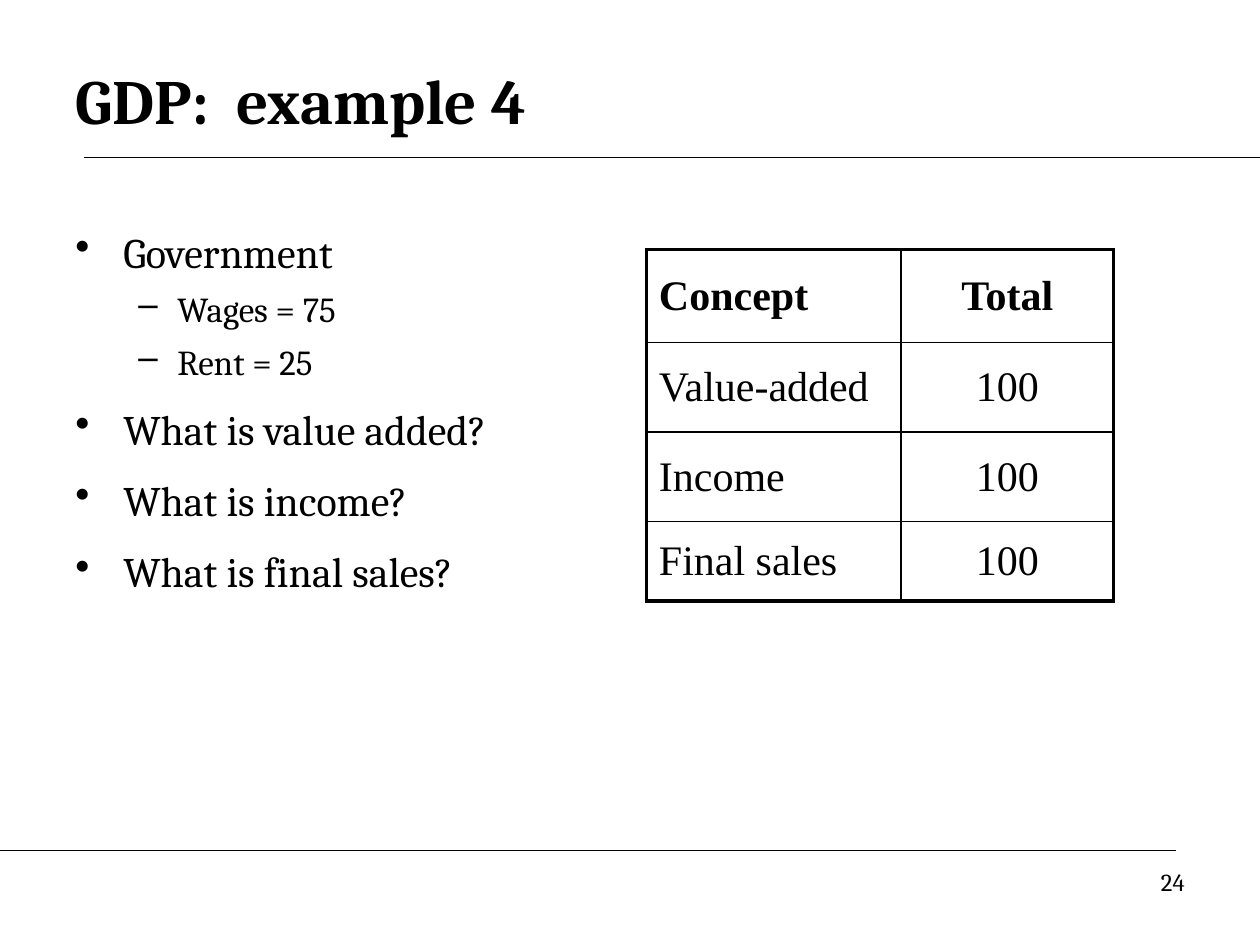
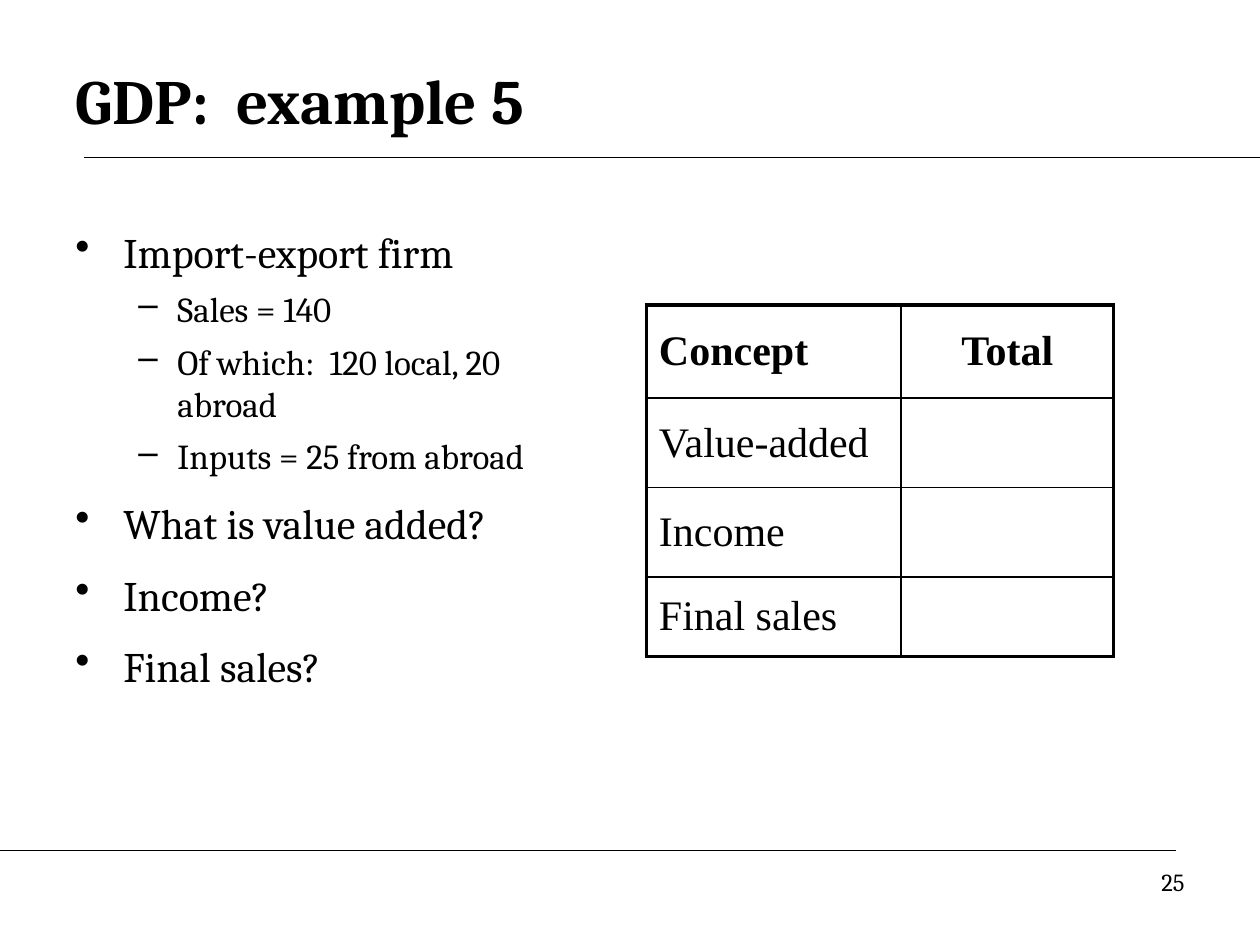
from dataclasses import dataclass
from typing import Any

from lxml import etree
from pptx import Presentation
from pptx.dml.color import RGBColor
from pptx.enum.shapes import MSO_CONNECTOR
from pptx.enum.text import MSO_ANCHOR, PP_ALIGN
from pptx.oxml.ns import qn
from pptx.util import Inches, Pt

LEFT, CENTER, RIGHT = PP_ALIGN.LEFT, PP_ALIGN.CENTER, PP_ALIGN.RIGHT
TOP, MIDDLE = MSO_ANCHOR.TOP, MSO_ANCHOR.MIDDLE
STRAIGHT = MSO_CONNECTOR.STRAIGHT

COLORS = {"ink": "000000", "paper": "FFFFFF"}
SERIF, TABLE_SERIF = "Cambria", "Times New Roman"

TITLE_FONT = {"name": SERIF, "size": Pt(36), "bold": True}
NUMBER_FONT = {"name": SERIF, "size": Pt(14)}
HEADER_FONT = {"name": TABLE_SERIF, "size": Pt(24), "bold": True}
CELL_FONT = {**HEADER_FONT, "bold": False}

RULES = [(0.67, 10, 1.25), (0, 9.33, 6.75)]
TITLE_BOX = (0.5, 0.33, 9, 0.92)
NUMBER_BOX = (7.17, 6.83, 2.33, 0.52)
TABLE_LEFT = 5.13
COLUMN_WIDTHS = [2.02, 1.69]
ROW_HEIGHTS = [0.74, 0.71, 0.71, 0.63]
CONCEPTS = ["Value-added", "Income", "Final sales"]
OUTER_BORDER, INNER_BORDER = Pt(2.25), Pt(1)


@dataclass(frozen=True)
class BulletLevel:
    character: str
    margin: float
    hanging: float
    space_before: int
    size: int


@dataclass(frozen=True)
class ExampleSlide:
    title: str
    number: int
    body_box: tuple[float, float, float, float]
    bullets: list[tuple[int, str]]
    table_top: float
    totals: list[str]


LEVELS = [
    BulletLevel("•", 0.38, 0.38, 12, 24),
    BulletLevel("–", 0.81, 0.31, 6, 20),
]

EXAMPLES = [
    ExampleSlide(
        "GDP:  example 4", 24, (0.5, 1.75, 4.25, 4.42),
        [
            (0, "Government"),
            (1, "Wages = 75"),
            (1, "Rent = 25"),
            (0, "What is value added?"),
            (0, "What is income?"),
            (0, "What is final sales?"),
        ],
        1.98, ["100", "100", "100"],
    ),
    ExampleSlide(
        "GDP:  example 5", 25, (0.5, 1.75, 4.08, 4.95),
        [
            (0, "Import-export firm"),
            (1, "Sales = 140"),
            (1, "Of which:  120 local, 20 abroad"),
            (1, "Inputs = 25 from abroad"),
            (0, "What is value added?"),
            (0, "Income?"),
            (0, "Final sales?"),
        ],
        2.42, ["", "", ""],
    ),
]


def color(name: str) -> RGBColor:
    return RGBColor.from_string(COLORS[name])


def set_attributes(target: Any, values: dict[str, Any]) -> None:
    for name, value in values.items():
        setattr(target, name, value)


def write(paragraph: Any, text: str, font: dict[str, Any], alignment: Any = LEFT) -> None:
    paragraph.alignment = alignment
    if text:
        run = paragraph.add_run()
        run.text = text
        set_attributes(run.font, font)
        run.font.color.rgb = color("ink")


def add_text_frame(slide: Any, box: tuple[float, ...], anchor: Any = TOP) -> Any:
    frame = slide.shapes.add_textbox(*map(Inches, box)).text_frame
    set_attributes(frame, {"word_wrap": True, "vertical_anchor": anchor})
    return frame


def add_rule(slide: Any, start: float, end: float, height: float) -> None:
    """Draw a thin horizontal line across the slide."""
    rule = slide.shapes.add_connector(
        STRAIGHT, Inches(start), Inches(height), Inches(end), Inches(height)
    )
    rule.line.color.rgb = color("ink")
    rule.line.width = Pt(0.75)
    etree.SubElement(rule._element.spPr, qn("a:effectLst"))


def add_frame(slide: Any, example: ExampleSlide) -> None:
    """Add the background, rules, title and slide number."""
    slide.background.fill.solid()
    slide.background.fill.fore_color.rgb = color("paper")
    for rule in RULES:
        add_rule(slide, *rule)
    title = add_text_frame(slide, TITLE_BOX, MIDDLE)
    write(title.paragraphs[0], example.title, TITLE_FONT)
    number = add_text_frame(slide, NUMBER_BOX)
    write(number.paragraphs[0], str(example.number), NUMBER_FONT, RIGHT)


def add_bullets(slide: Any, example: ExampleSlide) -> None:
    frame = add_text_frame(slide, example.body_box)
    for index, (depth, text) in enumerate(example.bullets):
        level = LEVELS[depth]
        paragraph = frame.add_paragraph() if index else frame.paragraphs[0]
        properties = paragraph._p.get_or_add_pPr()
        properties.set("marL", str(Inches(level.margin)))
        properties.set("indent", str(-Inches(level.hanging)))
        etree.SubElement(properties, qn("a:buChar"), char=level.character)
        paragraph.level = depth
        if index:
            paragraph.space_before = Pt(level.space_before)
        write(paragraph, text, {"name": SERIF, "size": Pt(level.size)})


def set_borders(cell: Any, outer_sides: dict[str, bool]) -> None:
    """Draw thick borders on the outer sides and thin ones elsewhere."""
    properties = cell._tc.get_or_add_tcPr()
    for position, (side, is_outer) in enumerate(outer_sides.items()):
        width = OUTER_BORDER if is_outer else INNER_BORDER
        border = etree.Element(qn(f"a:ln{side}"), w=str(width))
        fill = etree.SubElement(border, qn("a:solidFill"))
        etree.SubElement(fill, qn("a:srgbClr"), val=COLORS["ink"])
        properties.insert(position, border)


def add_totals_table(slide: Any, example: ExampleSlide) -> None:
    rows = [("Concept", "Total"), *zip(CONCEPTS, example.totals)]
    last_row, last_column = len(rows) - 1, len(COLUMN_WIDTHS) - 1
    table = slide.shapes.add_table(
        len(rows), len(COLUMN_WIDTHS), Inches(TABLE_LEFT), Inches(example.table_top),
        Inches(sum(COLUMN_WIDTHS)), Inches(sum(ROW_HEIGHTS)),
    ).table
    set_attributes(table, {"first_row": False, "horz_banding": False})
    for column, width in zip(table.columns, COLUMN_WIDTHS):
        column.width = Inches(width)
    for row, height in zip(table.rows, ROW_HEIGHTS):
        row.height = Inches(height)
    for row_index, texts in enumerate(rows):
        font = CELL_FONT if row_index else HEADER_FONT
        for column_index, text in enumerate(texts):
            cell = table.cell(row_index, column_index)
            cell.fill.background()
            cell.vertical_anchor = MIDDLE
            alignment = CENTER if column_index else LEFT
            write(cell.text_frame.paragraphs[0], text, font, alignment)
            set_borders(cell, {
                "L": column_index == 0,
                "R": column_index == last_column,
                "T": row_index == 0,
                "B": row_index == last_row,
            })


def main() -> None:
    presentation = Presentation()
    set_attributes(presentation, {"slide_width": Inches(10), "slide_height": Inches(7.5)})
    blank_layout = presentation.slide_layouts[6]
    for example in EXAMPLES:
        slide = presentation.slides.add_slide(blank_layout)
        add_frame(slide, example)
        add_bullets(slide, example)
        add_totals_table(slide, example)
    presentation.save("out.pptx")


if __name__ == "__main__":
    main()
